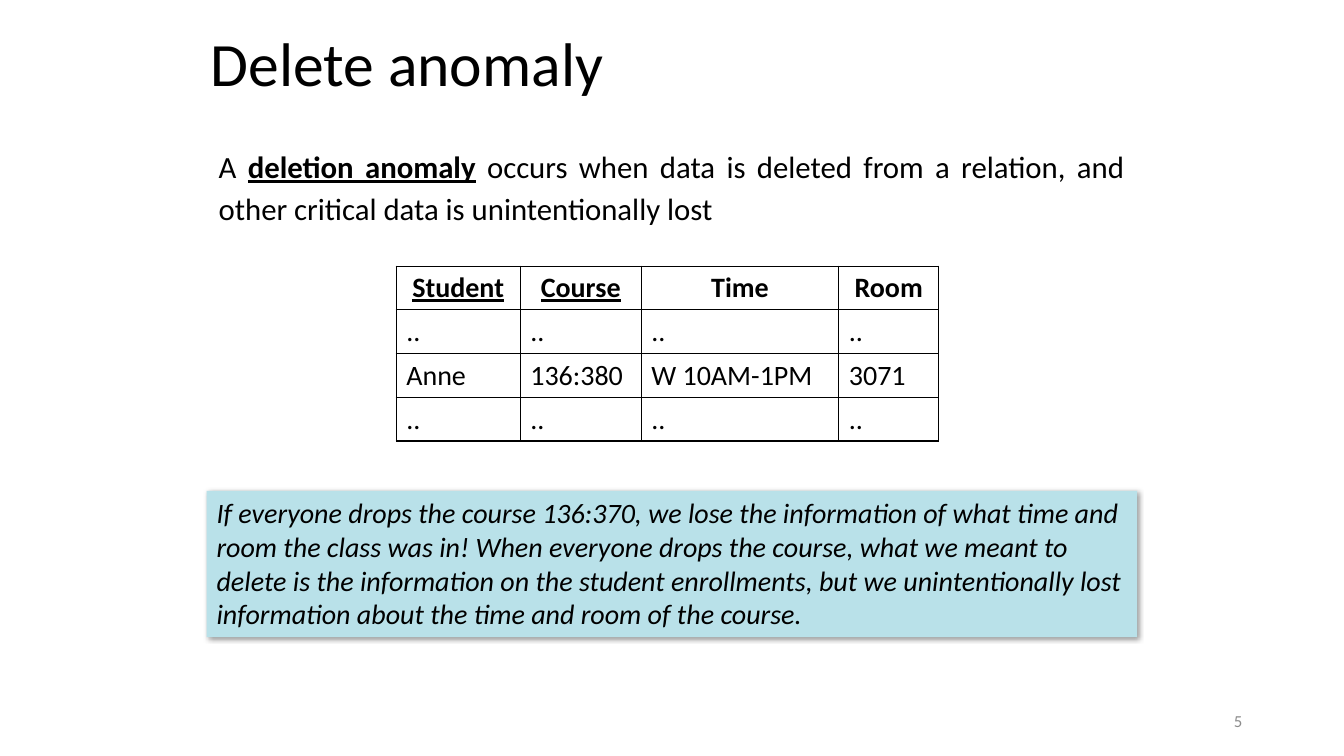
"""Build the slide that explains the delete anomaly."""
from dataclasses import dataclass

from lxml import etree
from pptx import Presentation
from pptx import oxml
from pptx import util as u
from pptx.dml.color import RGBColor
from pptx.enum import shapes, text
from pptx.oxml import ns


@dataclass(frozen=True)
class Theme:
    """Font, colours and type sizes of the slide."""
    font: str = "Calibri"
    ink: str = "000000"
    muted: str = "8C8C8C"
    panel: str = "B9E1E9"
    title: int = 44
    body: int = 22
    small: int = 20
    number: int = 12


theme = Theme()


def style(p, size, color=theme.ink, align=text.PP_ALIGN.LEFT):
    """Set the alignment and font of a paragraph."""
    p.alignment = align
    p.font.name = theme.font
    p.font.size = u.Pt(size)
    p.font.color.rgb = RGBColor.from_string(color)


def add_text(s, box, anchor=text.MSO_ANCHOR.TOP):
    """Add a wrapping text box and return its first paragraph."""
    tf = s.shapes.add_textbox(*map(u.Inches, box)).text_frame
    tf.word_wrap = True
    tf.vertical_anchor = anchor
    return tf.paragraphs[0]


prs = Presentation()
prs.slide_width, prs.slide_height = u.Inches(13.33), u.Inches(7.5)
s = prs.slides.add_slide(prs.slide_layouts[6])

p = add_text(s, (1.99, 0.1, 8.84, 1.13), text.MSO_ANCHOR.MIDDLE)
p.text = "Delete anomaly"
p.line_spacing = 0.9
style(p, theme.title)

p = add_text(s, (2.07, 1.37, 9.18, 0.93))
p.line_spacing = u.Pt(30)
p.add_run().text = "A "
r = p.add_run()
r.text = "deletion anomaly"
r.font.bold = r.font.underline = True
p.add_run().text = (" occurs when data is deleted from a relation, "
                    "and other critical data is unintentionally lost")
style(p, theme.body, align=text.PP_ALIGN.JUSTIFY)

p = add_text(s, (9.42, 6.95, 3, 0.4), text.MSO_ANCHOR.MIDDLE)
p.text = "5"
style(p, theme.number, theme.muted, text.PP_ALIGN.RIGHT)

sp = s.shapes.add_shape(shapes.MSO_SHAPE.RECTANGLE,
                        *map(u.Inches, (2.05, 4.87, 9.23, 1.45)))
sp.fill.solid()
sp.fill.fore_color.rgb = RGBColor.from_string(theme.panel)
sp.line.fill.background()
sp._element.spPr.append(oxml.parse_xml(
    f'<a:effectLst {ns.nsdecls("a")}>'
    f'<a:outerShdw blurRad="{u.Pt(4)}" dist="{u.Pt(1)}" dir="2700000" rotWithShape="0">'
    f'<a:srgbClr val="{theme.ink}"><a:alpha val="40000"/></a:srgbClr>'
    '</a:outerShdw></a:effectLst>'))
tf = sp.text_frame
tf.word_wrap = True
tf.vertical_anchor = text.MSO_ANCHOR.TOP
p = tf.paragraphs[0]
p.text = ("If everyone drops the course 136:370, we lose the information of what time "
          "and room the class was in! When everyone drops the course, what we meant to "
          "delete is the information on the student enrollments, but we unintentionally "
          "lost information about the time and room of the course.")
style(p, theme.small)
p.font.italic = True

rows = [
    ("Student", "Course", "Time", "Room"),
    ("..",) * 4,
    ("Anne", "136:380", "W 10AM-1PM", "3071"),
    ("..",) * 4,
]
key_columns = ("Student", "Course")
widths = (1.23, 1.2, 1.96, 0.99)
table = s.shapes.add_table(len(rows), len(widths),
                           *map(u.Inches, (3.93, 2.64, sum(widths), 1.73))).table
table.first_row = table.horz_banding = False
for column, width in zip(table.columns, widths):
    column.width = u.Inches(width)
for i, row in enumerate(rows):
    for j, value in enumerate(row):
        cell = table.cell(i, j)
        p = cell.text_frame.paragraphs[0]
        p.text = value
        style(p, theme.small,
              align=text.PP_ALIGN.LEFT if i else text.PP_ALIGN.CENTER)
        p.font.bold = i == 0
        p.font.underline = value in key_columns
        tcPr = cell._tc.get_or_add_tcPr()
        for side in ("lnL", "lnR", "lnT", "lnB"):
            ln = etree.SubElement(tcPr, ns.qn(f"a:{side}"), w=str(u.Pt(1)))
            fill = etree.SubElement(ln, ns.qn("a:solidFill"))
            etree.SubElement(fill, ns.qn("a:srgbClr"), val=theme.ink)
        cell.fill.background()

prs.save("out.pptx")
